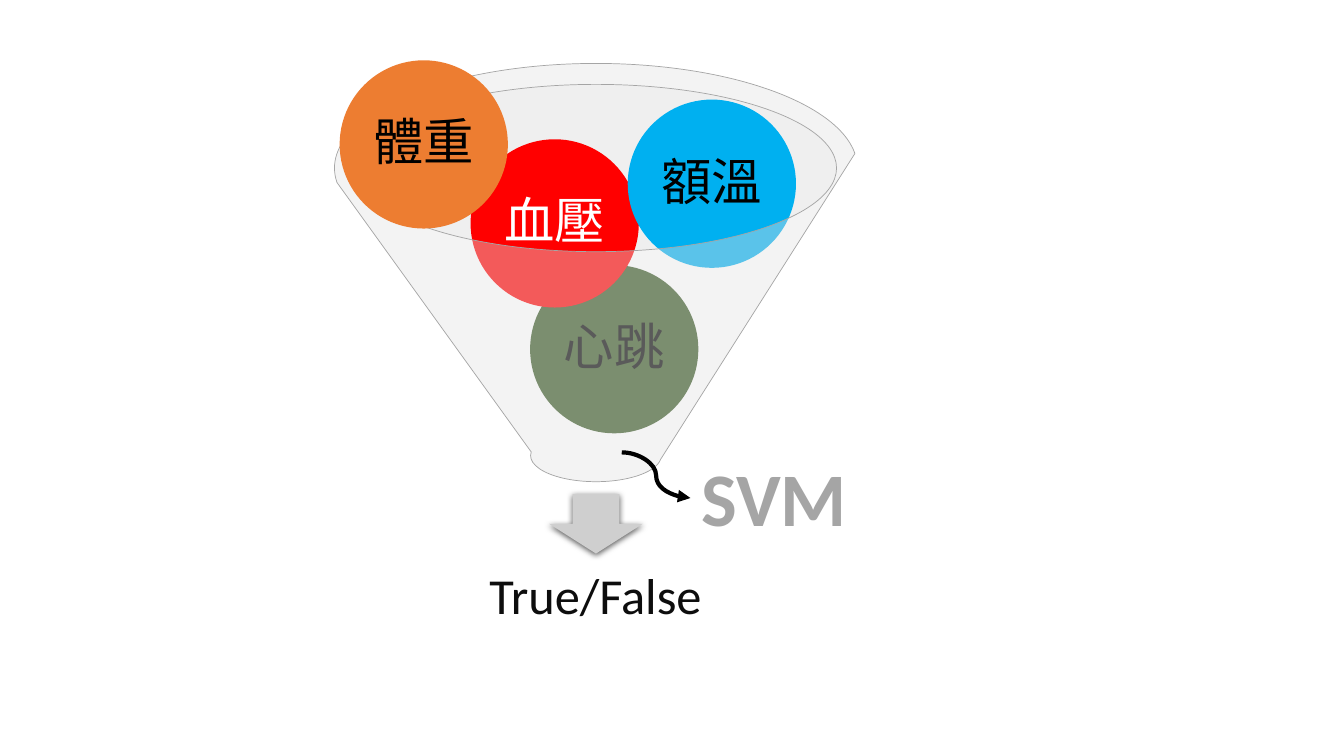
"""Build a slide with a funnel that turns four vital signs into a True/False result."""
from lxml.etree import SubElement
from pptx import Presentation
from pptx.dml.color import RGBColor
from pptx.enum.shapes import MSO_CONNECTOR, MSO_SHAPE
from pptx.enum.text import MSO_ANCHOR, MSO_AUTO_SIZE, PP_ALIGN
from pptx.oxml.ns import qn
from pptx.util import Cm, Pt

BLACK = RGBColor(0x00, 0x00, 0x00)
WHITE = RGBColor(0xFF, 0xFF, 0xFF)
INK = RGBColor(0x0D, 0x0D, 0x0D)
GRAY = RGBColor(0xA5, 0xA5, 0xA5)
ARROW = RGBColor(0xCF, 0xCF, 0xCF)
RIM = RGBColor(0xD8, 0xD8, 0xD8)
GLASS = RGBColor(0xE1, 0xE1, 0xE1)
GREEN = RGBColor(0x38, 0x57, 0x23)
RED = RGBColor(0xFF, 0x00, 0x00)
BLUE = RGBColor(0x00, 0xB0, 0xF0)
ORANGE = RGBColor(0xED, 0x7D, 0x31)

BALL = 4.24
INSIDE = [
    ("心跳", 13.36, 6.68, GREEN, BLACK),
    ("血壓", 11.86, 3.51, RED, WHITE),
    ("額溫", 15.82, 2.51, BLUE, BLACK),
]
ON_TOP = ("體重", 8.56, 1.52, ORANGE, BLACK)
RESULT = "True/False"
METHOD = "SVM"

prs = Presentation()
prs.slide_width, prs.slide_height = Cm(33.87), Cm(19.05)
s = prs.slides.add_slide(prs.slide_layouts[6])


def add_text(sp, text, size=36, font="Calibri", color=BLACK, bold=False,
             inset=None, spacing=0.9, after=12.6, wrap=True, anchor=MSO_ANCHOR.MIDDLE):
    tf = sp.text_frame
    tf.word_wrap = wrap
    tf.vertical_anchor = anchor
    if inset is not None:
        tf.margin_left = tf.margin_right = tf.margin_top = tf.margin_bottom = Cm(inset)
    p = tf.paragraphs[0]
    p.alignment = PP_ALIGN.CENTER
    p.line_spacing = spacing
    p.space_after = Pt(after)
    r = p.add_run()
    r.text = text
    r.font.size, r.font.name, r.font.bold = Pt(size), font, bold
    r.font.color.rgb = color


def add_shape(kind, x, y, w, h, fill, alpha=100, line=None):
    sp = s.shapes.add_shape(kind, Cm(x), Cm(y), Cm(w), Cm(h))
    sp.shadow.inherit = False
    sp.fill.solid()
    sp.fill.fore_color.rgb = fill
    if alpha < 100:
        clr = sp.fill._xPr.find(qn("a:solidFill"))[0]
        SubElement(clr, qn("a:alpha"), val=str(alpha * 1000))
    if line is None:
        sp.line.fill.background()
    else:
        sp.line.color.rgb = line
        sp.line.width = Pt(0.5)
    return sp


def add_ball(text, x, y, fill, color):
    sp = add_shape(MSO_SHAPE.OVAL, x, y, BALL, BALL, fill)
    add_text(sp, text, font="Roboto", color=color, inset=0.13)


add_shape(MSO_SHAPE.OVAL, 8.94, 2.13, 12.14, 4.22, RIM, alpha=40)

arrow = add_shape(MSO_SHAPE.DOWN_ARROW, 13.84, 12.45, 2.36, 1.5, ARROW)
effects = arrow._element.spPr.find(qn("a:effectLst"))
shadow = SubElement(effects, qn("a:outerShdw"), blurRad=str(Pt(4.5)), dist=str(Pt(1.5)),
                    dir="5400000", algn="ctr", rotWithShape="0")
clr = SubElement(shadow, qn("a:srgbClr"), val=str(BLACK))
SubElement(clr, qn("a:alpha"), val="63000")

result = s.shapes.add_textbox(Cm(9.37), Cm(13.67), Cm(11.28), Cm(2.82))
add_text(result, RESULT, color=INK, inset=0.71)

for ball in INSIDE:
    add_ball(*ball)
add_shape(MSO_SHAPE.FUNNEL, 8.43, 1.6, 13.18, 10.54, GLASS, alpha=40, line=GRAY)
add_ball(*ON_TOP)

method = s.shapes.add_textbox(Cm(17.4), Cm(11.25), Cm(4.22), Cm(2.57))
add_text(method, METHOD, size=54, color=GRAY, bold=True, spacing=1.0, after=0,
         wrap=False, anchor=MSO_ANCHOR.TOP)
method.text_frame.auto_size = MSO_AUTO_SIZE.SHAPE_TO_FIT_TEXT

curve = s.shapes.add_connector(MSO_CONNECTOR.CURVE, Cm(15.67), Cm(11.4), Cm(17.4), Cm(12.55))
curve.line.color.rgb = BLACK
curve.line.width = Pt(3)
SubElement(curve.line._get_or_add_ln(), qn("a:tailEnd"), type="triangle")
SubElement(curve._element.spPr, qn("a:effectLst"))

prs.save("out.pptx")
